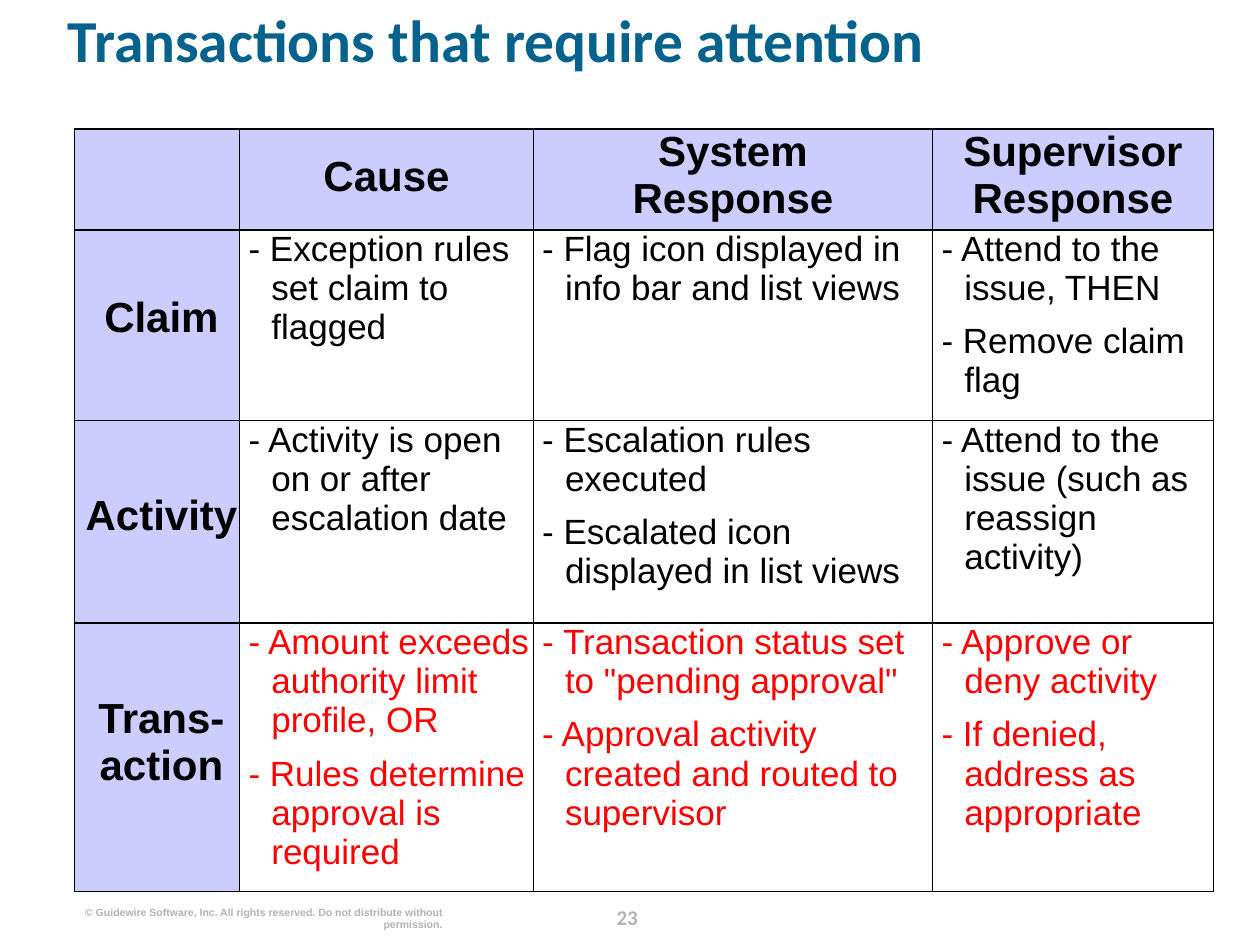
from lxml.etree import SubElement
from pptx import Presentation
from pptx.dml.color import RGBColor
from pptx.enum.text import PP_ALIGN as Align
from pptx.oxml.ns import qn
from pptx.util import Cm, Pt

BLACK, WHITE, RED = "000000", "FFFFFF", "FF0000"
LAVENDER, TEAL, GREY = "CCCCFF", "04628C", "B2B2B2"

COLUMN_WIDTHS = [3.33, 5.92, 8.05, 5.66]
ROW_HEIGHTS = [2.03, 3.84, 4.09, 5.41]
HEADERS = [("Cause", 0.49), ("System\nResponse", 0), ("Supervisor\nResponse", 0)]
ROWS = [
    ("Claim", 1.3, BLACK, [
        ["- Exception rules set claim to flagged"],
        ["- Flag icon displayed in info bar and list views"],
        ["- Attend to the issue, THEN", "- Remove claim flag"],
    ]),
    ("Activity", 1.46, BLACK, [
        ["- Activity is open on or after escalation date"],
        ["- Escalation rules executed", "- Escalated icon displayed in list views"],
        ["- Attend to the issue (such as reassign activity)"],
    ]),
    ("Trans-\naction", 1.46, RED, [
        ["- Amount exceeds authority limit profile, OR",
         "- Rules determine approval is required"],
        ["- Transaction status set to \"pending approval\"",
         "- Approval activity created and routed to supervisor"],
        ["- Approve or deny activity", "- If denied, address as appropriate"],
    ]),
]


def color(value):
    return RGBColor.from_string(value)


def style(paragraph, size, hex_color, bold=False, name="Arial", align=Align.LEFT):
    paragraph.alignment = align
    font = paragraph.font
    font.size, font.bold, font.name = Pt(size), bold, name
    font.color.rgb = color(hex_color)


def set_margins(target, left=0, top=0):
    target.margin_left, target.margin_top = Cm(left), Cm(top)
    target.margin_right = target.margin_bottom = 0


def add_text(slide, text, left, top, width, height, spacing=None, **font):
    shape = slide.shapes.add_textbox(Cm(left), Cm(top), Cm(width), Cm(height))
    frame = shape.text_frame
    frame.word_wrap = True
    set_margins(frame)
    paragraph = frame.paragraphs[0]
    paragraph.text = text
    if spacing:
        paragraph.line_spacing = spacing
    style(paragraph, **font)


def format_cell(cell, fill):
    properties = cell._tc.get_or_add_tcPr()
    for side in ("lnL", "lnR", "lnT", "lnB"):
        line = SubElement(properties, qn(f"a:{side}"), w=str(Pt(1)))
        solid = SubElement(line, qn("a:solidFill"))
        SubElement(solid, qn("a:srgbClr"), val=BLACK)
    cell.fill.solid()
    cell.fill.fore_color.rgb = color(fill)
    set_margins(cell)


def fill_label(cell, text, top, left=0):
    format_cell(cell, LAVENDER)
    set_margins(cell, left, top)
    paragraph = cell.text_frame.paragraphs[0]
    paragraph.text = text
    style(paragraph, 24, BLACK, bold=True, align=Align.CENTER)


def fill_items(cell, items, hex_color):
    format_cell(cell, WHITE)
    frame = cell.text_frame
    for index, item in enumerate(items):
        paragraph = frame.add_paragraph() if index else frame.paragraphs[0]
        paragraph.text = item
        properties = paragraph._p.get_or_add_pPr()
        properties.set("marL", str(Cm(0.64)))
        properties.set("indent", str(Cm(-0.46)))
        if index:
            paragraph.space_before = Pt(8)
        style(paragraph, 20, hex_color)


def add_response_table(slide):
    shape = slide.shapes.add_table(
        len(ROW_HEIGHTS), len(COLUMN_WIDTHS), Cm(1.5), Cm(2.6),
        Cm(sum(COLUMN_WIDTHS)), Cm(sum(ROW_HEIGHTS)))
    table = shape.table
    table.first_row = table.horz_banding = False
    for column, width in zip(table.columns, COLUMN_WIDTHS):
        column.width = Cm(width)
    for row, height in zip(table.rows, ROW_HEIGHTS):
        row.height = Cm(height)
    format_cell(table.cell(0, 0), LAVENDER)
    for column, (text, top) in enumerate(HEADERS, 1):
        fill_label(table.cell(0, column), text, top)
    for row, (label, top, hex_color, groups) in enumerate(ROWS, 1):
        fill_label(table.cell(row, 0), label, top, left=0.18)
        for column, items in enumerate(groups, 1):
            fill_items(table.cell(row, column), items, hex_color)


def main():
    presentation = Presentation()
    presentation.slide_width, presentation.slide_height = Cm(25.4), Cm(19.05)
    slide = presentation.slides.add_slide(presentation.slide_layouts[6])
    add_text(slide, "23", 11.92, 18.11, 1.45, 0.64, spacing=Pt(18),
             size=12, hex_color=GREY, bold=True, name="Calibri", align=Align.CENTER)
    add_text(slide, "© Guidewire Software, Inc. All rights reserved. "
             "Do not distribute without permission.", 1.55, 18.26, 7.37, 0.25,
             size=6, hex_color=GREY, bold=True, align=Align.RIGHT)
    add_text(slide, "Transactions that require attention", 1.37, 0.33, 23.11, 2.06,
             spacing=0.8, size=34, hex_color=TEAL, bold=True, name="Calibri")
    add_response_table(slide)
    presentation.save("out.pptx")


if __name__ == "__main__":
    main()
